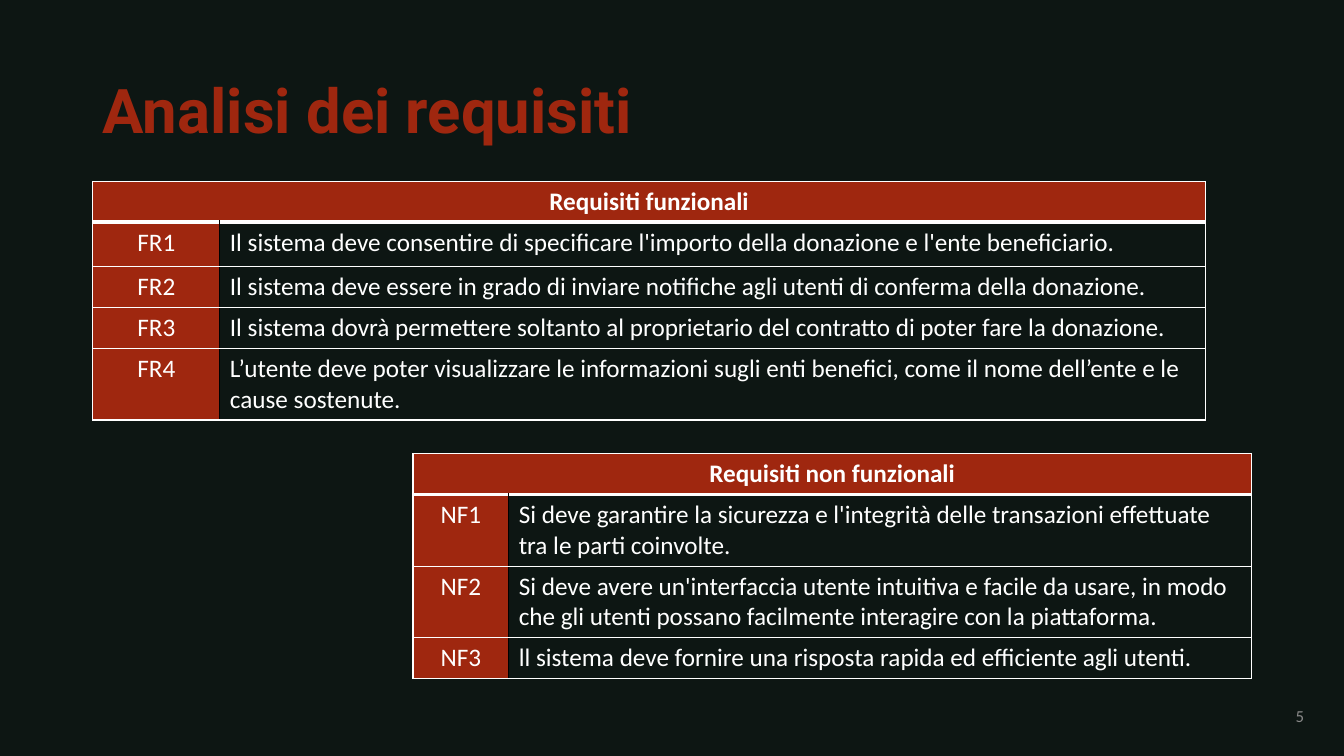
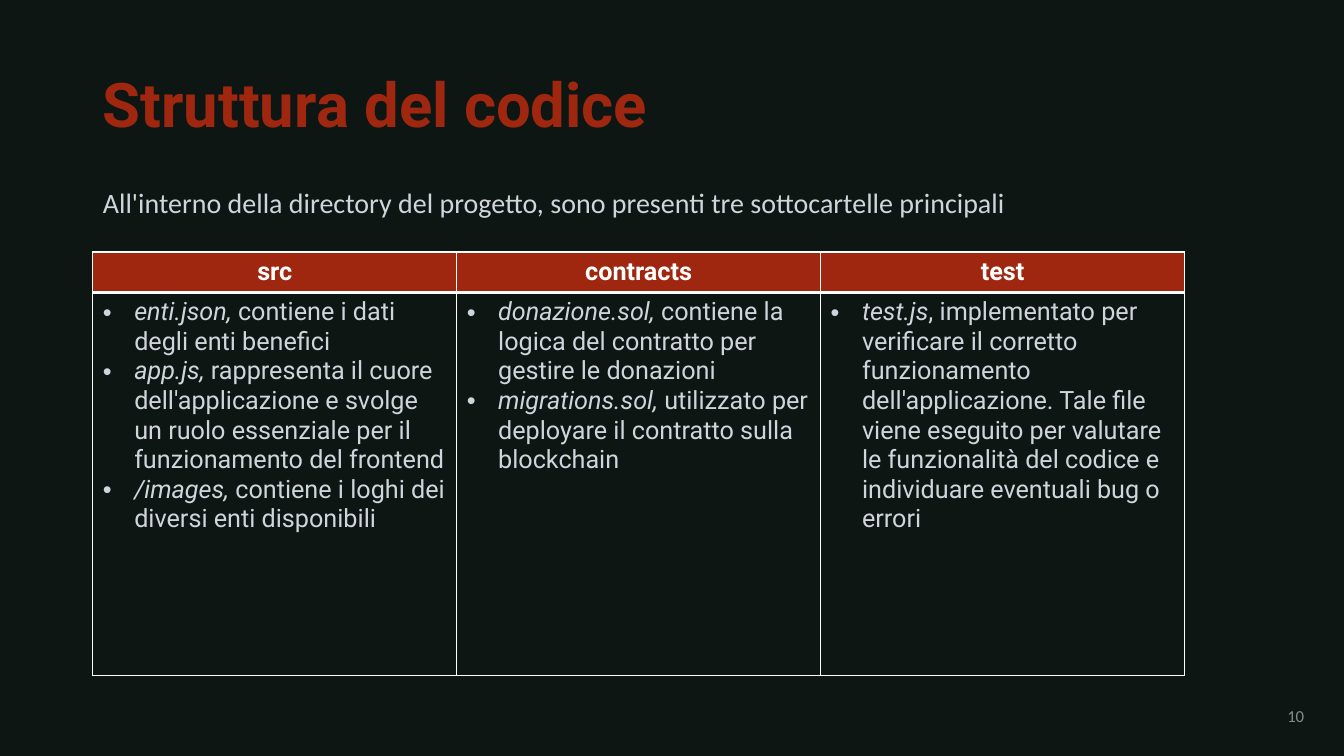
from dataclasses import dataclass

import lxml.etree
import pptx
import pptx.dml.color
import pptx.enum.text
import pptx.oxml.ns
import pptx.slide
import pptx.table
import pptx.text.text
import pptx.util

Cm = pptx.util.Cm
Pt = pptx.util.Pt
RGBColor = pptx.dml.color.RGBColor
Align = pptx.enum.text.PP_ALIGN
Anchor = pptx.enum.text.MSO_ANCHOR
qn = pptx.oxml.ns.qn

DARK = RGBColor(0x0D, 0x16, 0x13)
RED = RGBColor(0x9F, 0x27, 0x0F)
WHITE = RGBColor(0xFF, 0xFF, 0xFF)
BLACK = RGBColor(0x00, 0x00, 0x00)
PALE = RGBColor(0xD1, 0xD5, 0xDB)
GREY = RGBColor(0x89, 0x89, 0x89)

SANS = "Calibri"
HEAD = "Roboto"
LEFT = 2.34
WIDE = 29.21

Item = tuple[str, str]


@dataclass(frozen=True)
class Grid:
    left: float
    top: float
    cols: tuple[float, ...]
    rows: tuple[float, ...]


@dataclass(frozen=True)
class Needs:
    name: str
    code: str
    lines: tuple[str, ...]
    grid: Grid


@dataclass(frozen=True)
class Folder:
    name: str
    files: tuple[Item, ...]


NEEDS = (
    Needs("Requisiti funzionali", "FR", (
        "Il sistema deve consentire di specificare l'importo della donazione e l'ente beneficiario.",
        "Il sistema deve essere in grado di inviare notifiche agli utenti di conferma della donazione.",
        "Il sistema dovrà permettere soltanto al proprietario del contratto di poter fare la donazione.",
        "L’utente deve poter visualizzare le informazioni sugli enti benefici, come il nome dell’ente "
        "e le cause sostenute.",
    ), Grid(LEFT, 4.57, (3.2, 24.84), (1.03, 1.12, 1.03, 1.03, 1.8))),
    Needs("Requisiti non funzionali", "NF", (
        "Si deve garantire la sicurezza e l'integrità delle transazioni effettuate tra le parti coinvolte.",
        "Si deve avere un'interfaccia utente intuitiva e facile da usare, in modo che gli utenti "
        "possano facilmente interagire con la piattaforma.",
        "ll sistema deve fornire una risposta rapida ed efficiente agli utenti.",
    ), Grid(10.41, 11.43, (2.41, 18.72), (1.03, 1.8, 1.8, 1.03))),
)

FOLDERS = (
    Folder("src", (
        ("enti.json, ", "contiene i dati degli enti benefici"),
        ("app.js, ", "rappresenta il cuore dell'applicazione e svolge un ruolo essenziale "
                     "per il funzionamento del frontend"),
        ("/images, ", "contiene i loghi dei diversi enti disponibili"),
    )),
    Folder("contracts", (
        ("donazione.sol, ", "contiene la logica del contratto per gestire le donazioni"),
        ("migrations.sol, ", "utilizzato per deployare il contratto sulla blockchain"),
    )),
    Folder("test", (
        ("test.js", ", implementato per verificare il corretto funzionamento dell'applicazione. "
                    "Tale file viene eseguito per valutare le funzionalità del codice e "
                    "individuare eventuali bug o errori"),
    )),
)


def mark(para: pptx.text.text._Paragraph, dot: bool) -> None:
    props = para._p.get_or_add_pPr()
    indent = Cm(0.79) if dot else 0
    props.set("marL", str(indent))
    props.set("indent", str(-indent))
    if dot:
        lxml.etree.SubElement(props, qn("a:buFont")).set("typeface", "Arial")
        lxml.etree.SubElement(props, qn("a:buChar")).set("char", "•")
    else:
        lxml.etree.SubElement(props, qn("a:buNone"))


def write(frame: pptx.text.text.TextFrame, text: str | tuple[Item, ...], *,
          size: int = 18, font: str = SANS, color: RGBColor = WHITE,
          bold: bool = False, align: Align = Align.LEFT,
          dots: bool = False, space: float = 1.0) -> None:
    items = (("", text),) if isinstance(text, str) else text
    for spot, item in enumerate(items):
        para = frame.add_paragraph() if spot else frame.paragraphs[0]
        mark(para, dots)
        para.alignment = align
        para.line_spacing = space
        para.space_before = Pt(0)
        for part, slant in zip(item, (True, False)):
            if part:
                run = para.add_run()
                run.text = part
                run.font.size = Pt(size)
                run.font.name = font
                run.font.color.rgb = color
                run.font.bold = bold
                run.font.italic = slant


def edge(cell: pptx.table._Cell, side: str, color: RGBColor, width: float) -> None:
    props = cell._tc.get_or_add_tcPr()
    line = lxml.etree.SubElement(props, qn(f"a:ln{side}"), w=str(Pt(width)))
    fill = lxml.etree.SubElement(line, qn("a:solidFill"))
    lxml.etree.SubElement(fill, qn("a:srgbClr"), val=str(color))


def draw(slide: pptx.slide.Slide, grid: Grid, *, label: bool = False) -> pptx.table.Table:
    table = slide.shapes.add_table(
        len(grid.rows), len(grid.cols), Cm(grid.left), Cm(grid.top),
        Cm(sum(grid.cols)), Cm(sum(grid.rows))).table
    table.first_row = False
    table.horz_banding = False
    for col, width in zip(table.columns, grid.cols):
        col.width = Cm(width)
    for row, height in zip(table.rows, grid.rows):
        row.height = Cm(height)
    for r in range(len(grid.rows)):
        for c in range(len(grid.cols)):
            cell = table.cell(r, c)
            split = label and r > 0
            edge(cell, "L", BLACK if split and c == 1 else WHITE, 1)
            edge(cell, "R", BLACK if split and c == 0 else WHITE, 1)
            edge(cell, "T", WHITE, 3 if r == 1 else 1)
            edge(cell, "B", WHITE, 3 if r == 0 else 1)
            if r == 0 or (label and c == 0):
                cell.fill.solid()
                cell.fill.fore_color.rgb = RED
            else:
                cell.fill.background()
    return table


def place(shape: object, left: float, top: float, width: float, height: float) -> None:
    shape.left, shape.top = Cm(left), Cm(top)
    shape.width, shape.height = Cm(width), Cm(height)
    shape.text_frame.word_wrap = True
    shape.text_frame.auto_size = pptx.enum.text.MSO_AUTO_SIZE.NONE


def start(deck: object, kind: int, title: str, top: float, page: int) -> pptx.slide.Slide:
    slide = deck.slides.add_slide(deck.slide_layouts[kind])
    head = slide.shapes.title
    place(head, LEFT, top, WIDE, 3.68)
    head.text_frame.vertical_anchor = Anchor.MIDDLE
    write(head.text_frame, title, size=44, font=HEAD, color=RED, bold=True, space=0.9)
    foot = slide.shapes.add_textbox(0, 0, 0, 0)
    place(foot, 25.5, 17.53, 7.62, 1.02)
    foot.text_frame.vertical_anchor = Anchor.MIDDLE
    write(foot.text_frame, str(page), size=12, color=GREY, align=Align.RIGHT)
    return slide


def needs(deck: object) -> None:
    slide = start(deck, 5, "Analisi dei requisiti", 1.02, 5)
    for group in NEEDS:
        table = draw(slide, group.grid, label=True)
        table.cell(0, 0).merge(table.cell(0, 1))
        write(table.cell(0, 0).text_frame, group.name, bold=True, align=Align.CENTER)
        for r, line in enumerate(group.lines, 1):
            write(table.cell(r, 0).text_frame, f"{group.code}{r}", align=Align.CENTER)
            write(table.cell(r, 1).text_frame, line)


def code(deck: object) -> None:
    slide = start(deck, 1, "Struttura del codice", 0.86, 10)
    body = slide.placeholders[1]
    place(body, LEFT, 4.65, WIDE, 1.3)
    write(body.text_frame,
          "All'interno della directory del progetto, sono presenti tre sottocartelle principali",
          size=20, color=PALE, space=0.9)
    table = draw(slide, Grid(LEFT, 6.35, (9.17,) * len(FOLDERS), (1.02, 9.65)))
    for c, folder in enumerate(FOLDERS):
        write(table.cell(0, c).text_frame, folder.name, font=HEAD, bold=True, align=Align.CENTER)
        write(table.cell(1, c).text_frame, folder.files, font=HEAD, color=PALE, dots=True)


def main() -> None:
    deck = pptx.Presentation()
    deck.slide_width, deck.slide_height = Cm(33.87), Cm(19.05)
    back = deck.slide_master.background.fill
    back.solid()
    back.fore_color.rgb = DARK
    needs(deck)
    code(deck)
    deck.save("out.pptx")


if __name__ == "__main__":
    main()
